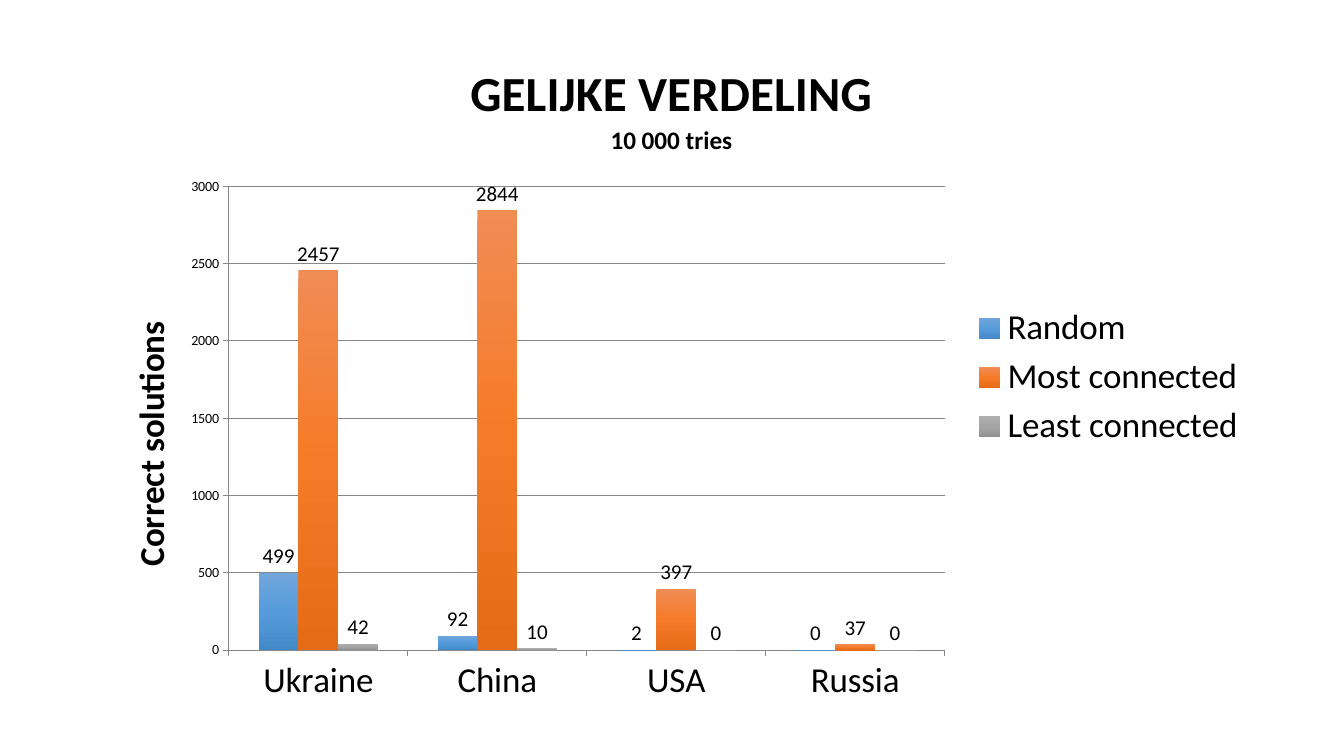
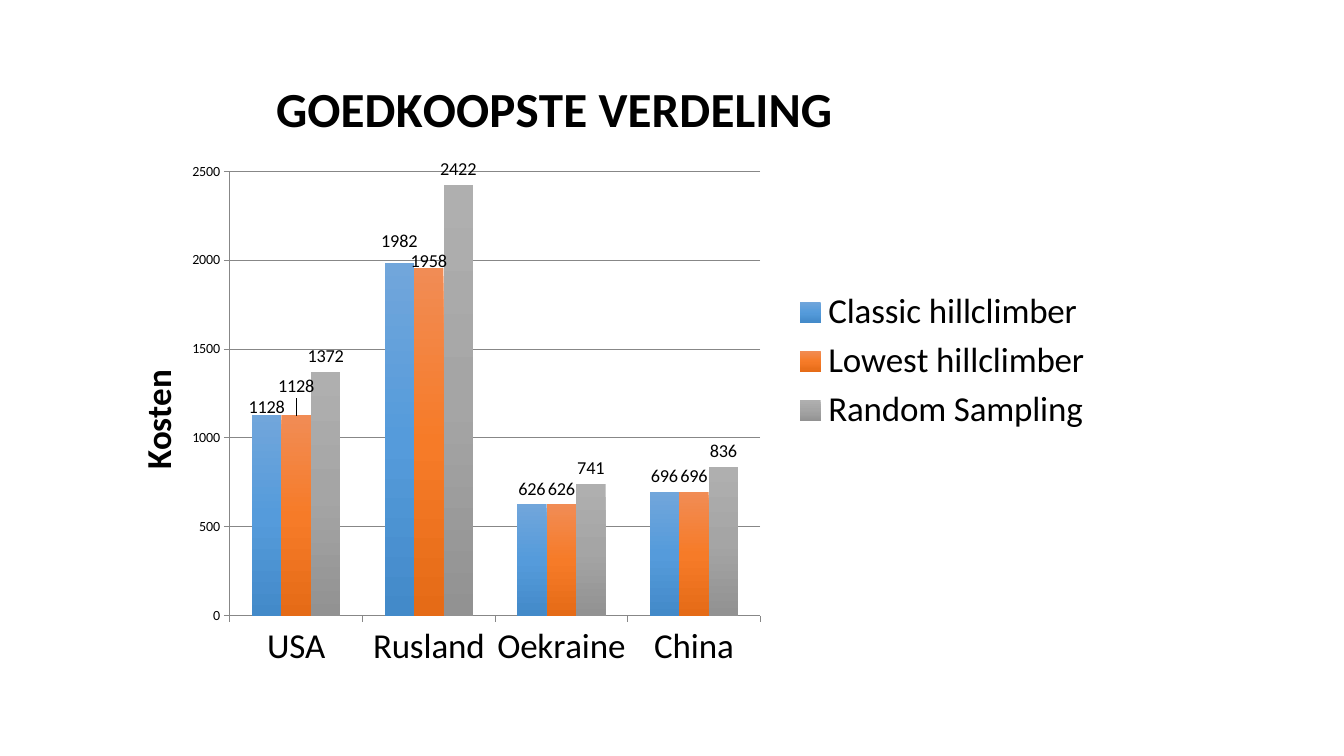
from copy import deepcopy

from lxml.etree import SubElement
from pptx import Presentation
from pptx.chart.data import CategoryChartData
from pptx.dml.color import RGBColor
from pptx.enum.chart import (XL_CHART_TYPE, XL_LABEL_POSITION, XL_LEGEND_POSITION,
                             XL_TICK_MARK)
from pptx.oxml.ns import qn
from pptx.util import Inches, Pt

BLACK = RGBColor(0x00, 0x00, 0x00)
GREY_LINE = RGBColor(0x87, 0x87, 0x87)
# Top, middle and bottom of each series' gradient
GRADIENTS = [
    [RGBColor(0x71, 0xA6, 0xDB), RGBColor(0x55, 0x9B, 0xDB), RGBColor(0x43, 0x8A, 0xC9)],
    [RGBColor(0xF1, 0x8C, 0x55), RGBColor(0xF6, 0x7B, 0x28), RGBColor(0xE5, 0x6B, 0x17)],
    [RGBColor(0xAF, 0xAF, 0xAF), RGBColor(0xA5, 0xA5, 0xA5), RGBColor(0x92, 0x92, 0x92)],
]
FONT = "Calibri"
TITLE_SIZE, SUBTITLE_SIZE, LARGE_SIZE, SMALL_SIZE = 35, 18, 25, 10

# Boxes and positions are in inches on the slide;
# label_shifts maps (series, category) to a vertical move in inches.
CHARTS = [
    dict(box=(0.85, 0.4, 11.62, 6.69), plot=(2.27, 1.85, 7.1, 4.6),
         title=[("GELIJKE VERDELING", TITLE_SIZE), ("10 000 tries", SUBTITLE_SIZE)],
         title_at=None, axis_title="Correct solutions", axis_title_at=(1.2, 3.13),
         maximum=3000, label_size=15, label_shifts={},
         categories=["Ukraine", "China", "USA", "Russia"],
         series=[("Random", [499, 92, 2, 0]),
                 ("Most connected", [2457, 2844, 397, 37]),
                 ("Least connected", [42, 10, 0, 0])]),
    dict(box=(0.91, 0.42, 10.04, 6.33), plot=(2.28, 1.7, 5.26, 4.41),
         title=[("GOEDKOOPSTE VERDELING", TITLE_SIZE)],
         title_at=(2.65, 0.65), axis_title="Kosten", axis_title_at=(1.27, 3.61),
         maximum=2500, label_size=13,
         label_shifts={(0, 0): 0.07, (1, 0): -0.13, (0, 1): -0.07, (1, 1): 0.09},
         categories=["USA", "Rusland", "Oekraine", "China"],
         series=[("Classic hillclimber", [1128, 1982, 626, 696]),
                 ("Lowest hillclimber", [1128, 1958, 626, 696]),
                 ("Random Sampling", [1372, 2422, 741, 836])]),
]


def set_layout(parent, index, **values):
    """Give a chart part a manual layout, inserted at the given child index."""
    old = parent.find(qn("c:layout"))
    if old is not None:
        parent.remove(old)
    layout = SubElement(parent, qn("c:layout"))
    parent.insert(index, layout)
    manual = SubElement(layout, qn("c:manualLayout"))
    for name, value in values.items():
        SubElement(manual, qn(f"c:{name}")).set("val", str(value))


def edge_position(box, at):
    left, top, width, height = box
    return dict(xMode="edge", yMode="edge",
                x=round((at[0] - left) / width, 4), y=round((at[1] - top) / height, 4))


def format_font(font, size, bold=False):
    font.color.rgb = BLACK
    for name, value in dict(name=FONT, size=Pt(size), bold=bold).items():
        setattr(font, name, value)


def write_title(tf, lines):
    for i, (text, size) in enumerate(lines):
        p = tf.add_paragraph() if i else tf.paragraphs[0]
        r = p.add_run()
        r.text = text
        format_font(r.font, size, bold=True)


def fill_gradient(series, colors):
    fill = series.format.fill
    fill.gradient()
    fill.gradient_angle = 270
    stop_list = next(series.format.fill.gradient_stops[0]._gs.iterancestors(qn("a:gsLst")))
    stop_list.insert(1, deepcopy(stop_list[0]))
    for stop, color, position in zip(fill.gradient_stops, colors, (0, 0.5, 1)):
        stop.color.rgb = color
        stop.position = position


def format_line(line):
    line.color.rgb = GREY_LINE
    line.width = Pt(0.75)


def format_axes(chart, spec):
    value, category = chart.value_axis, chart.category_axis
    for axis, size in ((value, SMALL_SIZE), (category, LARGE_SIZE)):
        axis.major_tick_mark = XL_TICK_MARK.OUTSIDE
        axis.minor_tick_mark = XL_TICK_MARK.NONE
        format_font(axis.tick_labels.font, size)
        format_line(axis.format.line)
    value.minimum_scale, value.maximum_scale, value.major_unit = 0, spec["maximum"], 500
    value.has_major_gridlines = True
    format_line(value.major_gridlines.format.line)
    tf = value.axis_title.text_frame
    write_title(tf, [(spec["axis_title"], LARGE_SIZE)])
    tf._txBody.bodyPr.set("rot", "-5400000")
    set_layout(value.axis_title._element, 1,
               **edge_position(spec["box"], spec["axis_title_at"]))


def format_series(plot, spec):
    plot.gap_width, plot.overlap, plot.vary_by_categories = 150, 0, False
    for series, colors in zip(plot.series, GRADIENTS):
        fill_gradient(series, colors)
        labels = series.data_labels
        labels.show_value = True
        labels.position = XL_LABEL_POSITION.OUTSIDE_END
        format_font(labels.font, spec["label_size"])
    for (row, column), shift in spec["label_shifts"].items():
        label = plot.series[row].points[column].data_label
        label.position = XL_LABEL_POSITION.OUTSIDE_END
        format_font(label.font, spec["label_size"])
        set_layout(label._get_or_add_dLbl(), 1, x=0, y=round(shift / spec["box"][3], 4))


def add_column_chart(s, spec):
    data = CategoryChartData(number_format="0")
    data.categories = spec["categories"]
    for name, values in spec["series"]:
        data.add_series(name, values)
    box = spec["box"]
    chart = s.shapes.add_chart(XL_CHART_TYPE.COLUMN_CLUSTERED,
                               *[Inches(v) for v in box], data).chart
    format_font(chart.font, SMALL_SIZE)
    chart.has_title = True
    write_title(chart.chart_title.text_frame, spec["title"])
    chart.chart_title.include_in_layout = False
    if spec["title_at"]:
        set_layout(chart.chart_title._element, 1, **edge_position(box, spec["title_at"]))
    chart.has_legend = True
    chart.legend.position = XL_LEGEND_POSITION.RIGHT
    chart.legend.include_in_layout = False
    format_font(chart.legend.font, LARGE_SIZE)
    format_axes(chart, spec)
    format_series(chart.plots[0], spec)

    left, top, width, height = spec["plot"]
    edges = edge_position(box, (left, top))
    set_layout(chart._chartSpace.chart.plotArea, 0, layoutTarget="inner", **edges,
               w=round(width / box[2], 4), h=round(height / box[3], 4))


def main():
    prs = Presentation()
    prs.slide_width, prs.slide_height = Inches(13.33), Inches(7.5)
    for spec in CHARTS:
        add_column_chart(prs.slides.add_slide(prs.slide_layouts[6]), spec)
    prs.save("out.pptx")


if __name__ == "__main__":
    main()
